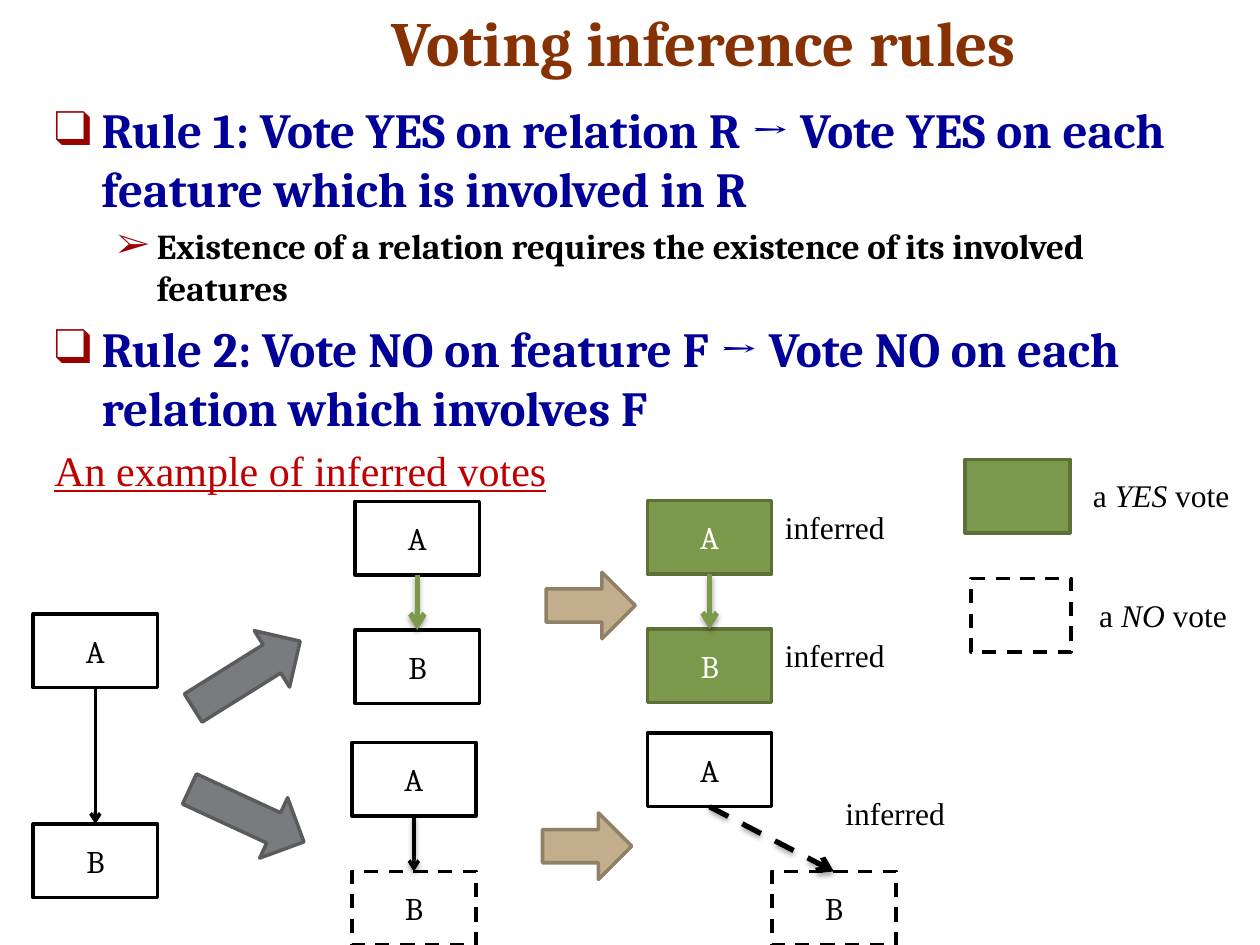
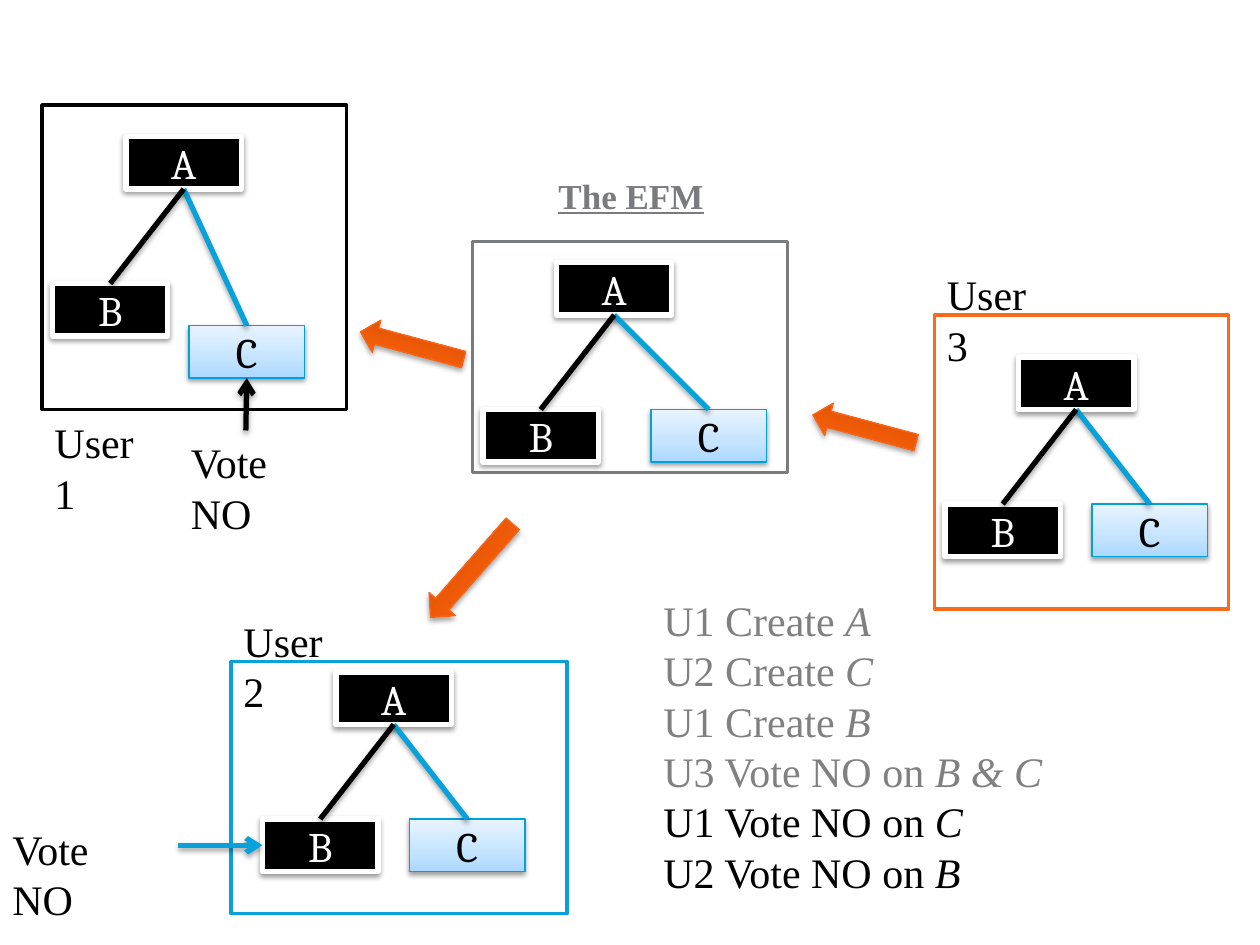
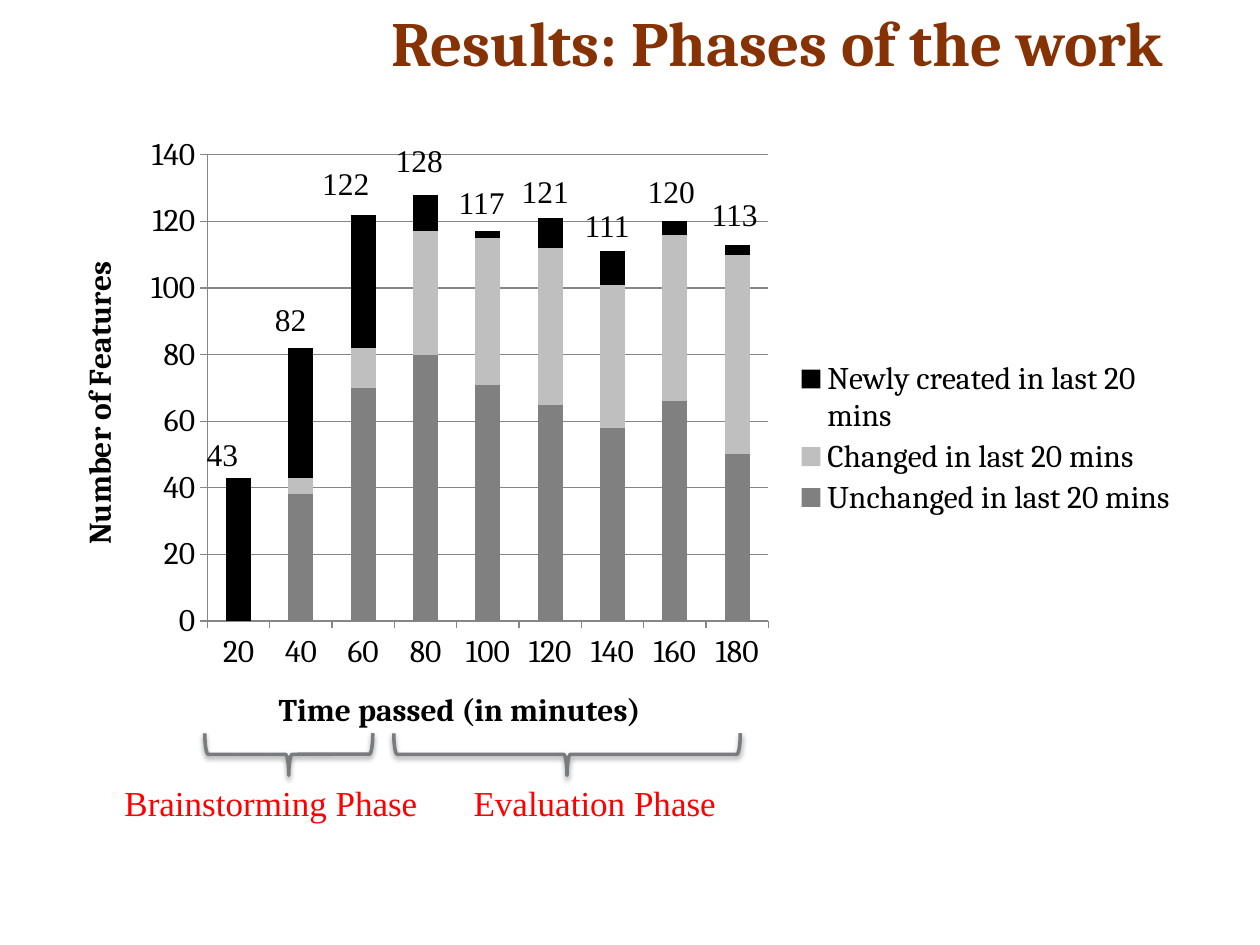
import lxml.etree
import pptx
import pptx.chart.data
import pptx.dml.color
import pptx.enum.chart
import pptx.enum.dml
import pptx.enum.shapes
import pptx.enum.text
import pptx.oxml.ns
import pptx.util

Pt = pptx.util.Pt
qn = pptx.oxml.ns.qn
SHAPE = pptx.enum.shapes.MSO_SHAPE
ANCHOR = pptx.enum.text.MSO_ANCHOR

COLORS = {
    "title": "863204", "rule": "000099", "bullet": "990000", "example": "C00000",
    "black": "000000", "white": "FFFFFF", "phase": "FF0000",
    "yes": "7C984A", "yes_edge": "5C7037",
    "gray": "797B7E", "gray_edge": "5A5B5D", "past": "808080",
    "tan": "C2AD8D", "tan_edge": "908068",
    "orange": "F96A1B", "orange_edge": "F96615",
    "blue": "08A1D9", "blue_edge": "03A0D9",
    "changed": "BFBFBF", "grid": "868686",
}
GRADIENTS = {
    "sky": [(0, "ABD8FF"), (35, "C3E3FF"), (100, "E8F4FF")],
    "flame": [(0, "CE4900"), (80, "FF630C"), (100, "FF640E")],
}
SERIF = "Cambria"
LABEL_FONT = "Times New Roman"
# Shadows: opacity in percent, distance in points
BOX_SHADOW = (38, 1.6)
LINE_SHADOW = (35, 1.8)

VOTE_BOX = (71, 42)
TREE_BOX = (66, 30)


def rgb(name):
    return pptx.dml.color.RGBColor.from_string(COLORS[name])


def sub(parent, tag, **attributes):
    child = lxml.etree.SubElement(parent, qn(tag))
    for key, value in attributes.items():
        child.set(key, str(value))
    return child


# ---- Text ----

def add_run(paragraph, text, size, color, font, bold=False, italic=False, underline=False):
    run = paragraph.add_run()
    run.text = text
    run.font.size = Pt(size)
    run.font.name = font
    run.font.color.rgb = rgb(color)
    run.font.bold, run.font.italic, run.font.underline = bold, italic, underline


def add_frame(slide, box, wrap, anchor=ANCHOR.TOP):
    frame = slide.shapes.add_textbox(*map(Pt, box)).text_frame
    frame.word_wrap = wrap
    frame.vertical_anchor = anchor
    return frame


def next_paragraph(frame, index):
    return frame.add_paragraph() if index else frame.paragraphs[0]


def add_title(slide, text):
    frame = add_frame(slide, (216.5, -1.5, 492, 50), True, ANCHOR.BOTTOM)
    add_run(frame.paragraphs[0], text, 36, "title", SERIF, bold=True)


def add_label(slide, box, *lines, size=18, color="black", wrap=False, **style):
    """Each line is a tuple of runs that alternate between plain and italic."""
    frame = add_frame(slide, box, wrap)
    for index, (line_color, runs) in enumerate(
            line if len(line) == 2 and isinstance(line[1], tuple) else (color, line)
            for line in lines):
        paragraph = next_paragraph(frame, index)
        for position, text in enumerate(runs):
            add_run(paragraph, text, size, line_color, LABEL_FONT,
                    italic=position % 2 == 1, **style)


def add_bullets(slide, box, items):
    levels = {0: (27, -27, "❑", 28, "rule"), 1: (58.5, -22.5, "➢", 20, "black")}
    frame = add_frame(slide, box, True)
    for index, (level, text) in enumerate(items):
        margin, indent, mark, size, color = levels[level]
        paragraph = next_paragraph(frame, index)
        paragraph.level = level
        paragraph.space_before = Pt(size * 0.2)
        properties = paragraph._p.get_or_add_pPr()
        properties.set("marL", str(Pt(margin)))
        properties.set("indent", str(Pt(indent)))
        sub(sub(properties, "a:buClr"), "a:srgbClr", val=COLORS["bullet"])
        sub(properties, "a:buFont", typeface=SERIF)
        sub(properties, "a:buChar", char=mark)
        add_run(paragraph, text, size, color, SERIF, bold=True)


# ---- Shapes and lines ----

def add_shadow(effects, shadow):
    opacity, distance = shadow
    outer = sub(effects, "a:outerShdw", blurRad=Pt(3.1), dist=Pt(distance),
                dir=5400000, rotWithShape=0)
    sub(sub(outer, "a:srgbClr", val=COLORS["black"]), "a:alpha", val=opacity * 1000)


def fill_gradient(shape, name):
    shape.fill.gradient()
    shape.fill.gradient_angle = 90
    stops = shape._element.spPr.find(qn("a:gradFill")).find(qn("a:gsLst"))
    for stop in list(stops):
        stops.remove(stop)
    for position, color in GRADIENTS[name]:
        sub(sub(stops, "a:gs", pos=position * 1000), "a:srgbClr", val=color)


def add_block(slide, kind, box, fill, edge, width=2, dashed=False, rotation=0, shadow=None):
    block = slide.shapes.add_shape(kind, *map(Pt, box))
    block.rotation = rotation
    if fill is None:
        block.fill.background()
    elif fill in GRADIENTS:
        fill_gradient(block, fill)
    else:
        block.fill.solid()
        block.fill.fore_color.rgb = rgb(fill)
    block.line.color.rgb = rgb(edge)
    block.line.width = Pt(width)
    if dashed:
        block.line.dash_style = pptx.enum.dml.MSO_LINE.DASH
    block.shadow.inherit = False
    if shadow:
        add_shadow(block._element.spPr.find(qn("a:effectLst")), shadow)
    return block


def add_node(slide, letter, corner, size, text_size, text_color, *look, **options):
    node = add_block(slide, SHAPE.RECTANGLE, corner + size, *look, **options)
    node.text_frame.vertical_anchor = ANCHOR.MIDDLE
    paragraph = node.text_frame.paragraphs[0]
    paragraph.alignment = pptx.enum.text.PP_ALIGN.CENTER
    add_run(paragraph, letter, text_size, text_color, SERIF)
    return node


def add_line(slide, start, end, color, width=3, dashed=False, arrow=False, shadow=LINE_SHADOW):
    line = slide.shapes.add_connector(
        pptx.enum.shapes.MSO_CONNECTOR.STRAIGHT, *map(Pt, start + end))
    line.line.color.rgb = rgb(color)
    line.line.width = Pt(width)
    if dashed:
        line.line.dash_style = pptx.enum.dml.MSO_LINE.DASH
    if arrow:
        sub(line.line._get_or_add_ln(), "a:tailEnd", type="arrow")
    effects = sub(line._element.spPr, "a:effectLst")
    if shadow:
        add_shadow(effects, shadow)
    return line


def link(slide, parent, child, color, **options):
    """Join the bottom of the parent to the top of the child."""
    line = add_line(slide, (0, 0), (0, 0), color, **options)
    line.begin_connect(parent, 2)
    line.end_connect(child, 0)


# ---- Slide 1: voting rules ----

def add_vote_node(slide, letter, corner, vote=None):
    if vote == "yes":
        return add_node(slide, letter, corner, VOTE_BOX, 18, "white", "yes", "yes_edge")
    return add_node(slide, letter, corner, VOTE_BOX, 18, "black", "white", "black",
                    dashed=vote == "no")


def build_rules(slide):
    add_title(slide, "Voting inference rules")
    add_bullets(slide, (24, 53.5, 664.5, 410), [
        (0, "Rule 1: Vote YES on relation R → Vote YES on each feature which is involved in R"),
        (1, "Existence of a relation requires the existence of its involved features"),
        (0, "Rule 2: Vote NO on feature F → Vote NO on each relation which involves F"),
    ])
    add_label(slide, (24, 250.5, 310, 36), ("An example of inferred votes",),
              size=24, color="example", underline=True)

    # Legend
    add_block(slide, SHAPE.RECTANGLE, (551.5, 262.5, 60, 42), "yes", "yes_edge")
    add_label(slide, (617.5, 268.5, 100, 29), ("a ", "YES ", "vote"))
    add_block(slide, SHAPE.RECTANGLE, (555, 330.5, 57, 42), "white", "black", dashed=True)
    add_label(slide, (621, 337, 96, 29), ("a ", "NO ", "vote"))

    # Relations: corners and votes of A and B, then the line between them
    relations = [
        ((19, 351), None, (19, 471), None, dict(color="black", width=2, shadow=None)),
        ((203, 286.5), None, (203, 360), None, dict(color="yes")),
        ((370, 286), "yes", (370, 359.5), "yes", dict(color="yes")),
        ((201, 424.3), None, (201, 498), "no",
         dict(color="black", width=2, shadow=BOX_SHADOW)),
        ((370, 419), None, (441, 498), "no", dict(color="black", dashed=True)),
    ]
    for a_corner, a_vote, b_corner, b_vote, look in relations:
        a = add_vote_node(slide, "A", a_corner, a_vote)
        b = add_vote_node(slide, "B", b_corner, b_vote)
        link(slide, a, b, arrow=True, **look)

    # Steps between the relations
    for top, rotation in ((366.5, 328), (447, 24.8)):
        add_block(slide, SHAPE.RIGHT_ARROW, (105, top, 72, 38), "gray", "gray_edge",
                  rotation=rotation)
    for corner in ((312, 327), (310, 464.5)):
        add_block(slide, SHAPE.RIGHT_ARROW, corner + (51, 38), "tan", "tan_edge")
    for corner in ((441.5, 286.5), (441.5, 360), (476, 450)):
        add_label(slide, corner + (78, 29), ("inferred",))


# ---- Slide 2: views of the feature model ----

def add_tree(slide, left, top, c_offset):
    def feature(letter, offset, *look, **options):
        corner = (left + offset[0], top + offset[1])
        return add_node(slide, letter, corner, TREE_BOX, 24, *look,
                        shadow=BOX_SHADOW, **options)

    dark = ("white", "black", "white", 3)
    a = feature("A", (0, 0), *dark)
    c = feature("C", c_offset, "black", "sky", "blue_edge", 0.75)
    link(slide, a, c, "blue")
    b = feature("B", (-42, 84), *dark)
    link(slide, a, b, "black")


def build_views(slide):
    # Frame, its colour, corner of A, offset of C from A
    views = [
        ((270, 138, 180, 132), "gray", (318, 150), (54, 84)),
        ((24, 60, 174, 174), "black", (72, 78), (36, 108)),
        ((534, 180, 168, 168), "orange", (582, 204), (42, 84)),
        ((132, 378, 192, 144), "blue", (192, 384), (42, 84)),
    ]
    for frame, edge, a_corner, c_offset in views:
        add_block(slide, SHAPE.RECTANGLE, frame, "white", edge)
        add_tree(slide, *a_corner, c_offset)

    # Names of the views
    add_label(slide, (312, 96, 104, 32), ("The EFM",), size=20, color="gray",
              bold=True, underline=True)
    for number, corner in enumerate(((24, 234.5), (132, 348), (534, 150)), 1):
        add_label(slide, corner + (62, 29), (f"User {number}",), size=24, wrap=True)

    # Flow of updates
    for box, rotation in (((463.5, 235.5, 61, 19), 195), ((205, 188, 61, 19), 195),
                          ((234, 316, 71, 20), 131.3)):
        add_block(slide, SHAPE.RIGHT_ARROW, box, "flame", "orange_edge", 0.75,
                  rotation=rotation, shadow=LINE_SHADOW)

    # Votes
    for corner in ((102, 246), (0, 467)):
        add_label(slide, corner + (76, 29), ("Vote NO",), size=24, wrap=True)
    add_line(slide, (140.5, 246), (141, 216), "black", arrow=True)
    add_line(slide, (102, 483), (150, 483), "blue", arrow=True)

    # Log of operations
    add_label(slide, (372, 336, 274.5, 181.5),
              ("past", ("U1 Create ", "A")), ("past", ("U2 Create ", "C")),
              ("past", ("U1 Create ", "B")), ("past", ("U3 Vote NO on ", "B & C")),
              ("black", ("U1 Vote NO on ", "C")), ("black", ("U2 Vote NO on ", "B")),
              size=24, wrap=True)


# ---- Slide 3: chart of the phases ----

def set_layout(part, index, inner, **place):
    """Fix the place of a chart part, in shares of the chart."""
    for old in part.findall(qn("c:layout")):
        part.remove(old)
    layout = lxml.etree.Element(qn("c:layout"))
    manual = sub(layout, "c:manualLayout")
    if inner:
        sub(manual, "c:layoutTarget", val="inner")
    for mode in ("xMode", "yMode"):
        sub(manual, "c:" + mode, val="edge")
    for key, share in place.items():
        sub(manual, "c:" + key, val=share)
    part.insert(index, layout)


def style_axis(axis, title):
    axis.has_title = True
    paragraph = axis.axis_title.text_frame.paragraphs[0]
    add_run(paragraph, title, 18, "black", SERIF, bold=True)
    axis.major_tick_mark = pptx.enum.chart.XL_TICK_MARK.OUTSIDE
    axis.format.line.color.rgb = rgb("grid")


def add_feature_chart(slide, box, times, series):
    data = pptx.chart.data.CategoryChartData()
    data.categories = times
    for name, _, values in series:
        data.add_series(name, values)
    chart = slide.shapes.add_chart(
        pptx.enum.chart.XL_CHART_TYPE.COLUMN_STACKED, *map(Pt, box), data).chart
    chart.has_title = False
    chart.font.name, chart.font.size = SERIF, Pt(18)
    chart.font.color.rgb = rgb("black")

    bars = chart.plots[0]
    bars.gap_width, bars.overlap = 150, 100
    bars.vary_by_categories = False
    for bar, (_, color, _) in zip(bars.series, series):
        bar.format.fill.solid()
        bar.format.fill.fore_color.rgb = rgb(color)

    style_axis(chart.category_axis, "Time passed (in minutes)")
    features = chart.value_axis
    style_axis(features, "Number of Features")
    features.minimum_scale, features.maximum_scale, features.major_unit = 0, 140, 20
    features.has_major_gridlines = True
    features.major_gridlines.format.line.color.rgb = rgb("grid")

    chart.has_legend = True
    chart.legend.position = pptx.enum.chart.XL_LEGEND_POSITION.RIGHT
    chart.legend.include_in_layout = False
    set_layout(chart._chartSpace.chart.plotArea, 0, True, x=0.14, y=0.05, w=0.49, h=0.74)
    set_layout(chart.legend._element, 1, False, x=0.65, y=0.37, w=0.34, h=0.26)


def build_results(slide):
    add_title(slide, "Results: Phases of the work")
    times = [str(minute) for minute in range(20, 181, 20)]
    series = [
        ("Unchanged in last 20 mins", "past", (0, 38, 70, 80, 71, 65, 58, 66, 50)),
        ("Changed in last 20 mins", "changed", (0, 5, 12, 37, 44, 47, 43, 50, 60)),
        ("Newly created in last 20 mins", "black", (43, 39, 40, 11, 2, 9, 10, 4, 3)),
    ]
    add_feature_chart(slide, (27, 70.5, 654, 360), times, series)

    # Totals above the columns, in boxes wide enough for one line
    totals = map(sum, zip(*(values for _, _, values in series)))
    corners = [(111, 245), (150, 168), (177, 90), (219, 77), (255, 101),
               (291, 95), (327, 114), (363, 95), (399.5, 108)]
    for total, corner in zip(totals, corners):
        add_label(slide, corner + (54, 29), (str(total),), wrap=True)

    # Phases: brace from left to right, then the name
    phases = [("Brainstorming Phase", 117, 213, 64, 192),
              ("Evaluation Phase", 225, 423, 263.5, 162)]
    top, depth = 419, 24
    for name, left, right, name_left, name_width in phases:
        length = right - left
        brace = ((left + right - depth) / 2, top + (depth - length) / 2, depth, length)
        add_block(slide, SHAPE.LEFT_BRACE, brace, None, "gray", rotation=270,
                  shadow=BOX_SHADOW)
        add_label(slide, (name_left, 443, name_width, 32), (name,), size=20, color="phase")


def main():
    deck = pptx.Presentation()
    deck.slide_width, deck.slide_height = Pt(720), Pt(540)
    for build in (build_rules, build_views, build_results):
        build(deck.slides.add_slide(deck.slide_layouts[6]))
    deck.save("out.pptx")


if __name__ == "__main__":
    main()
